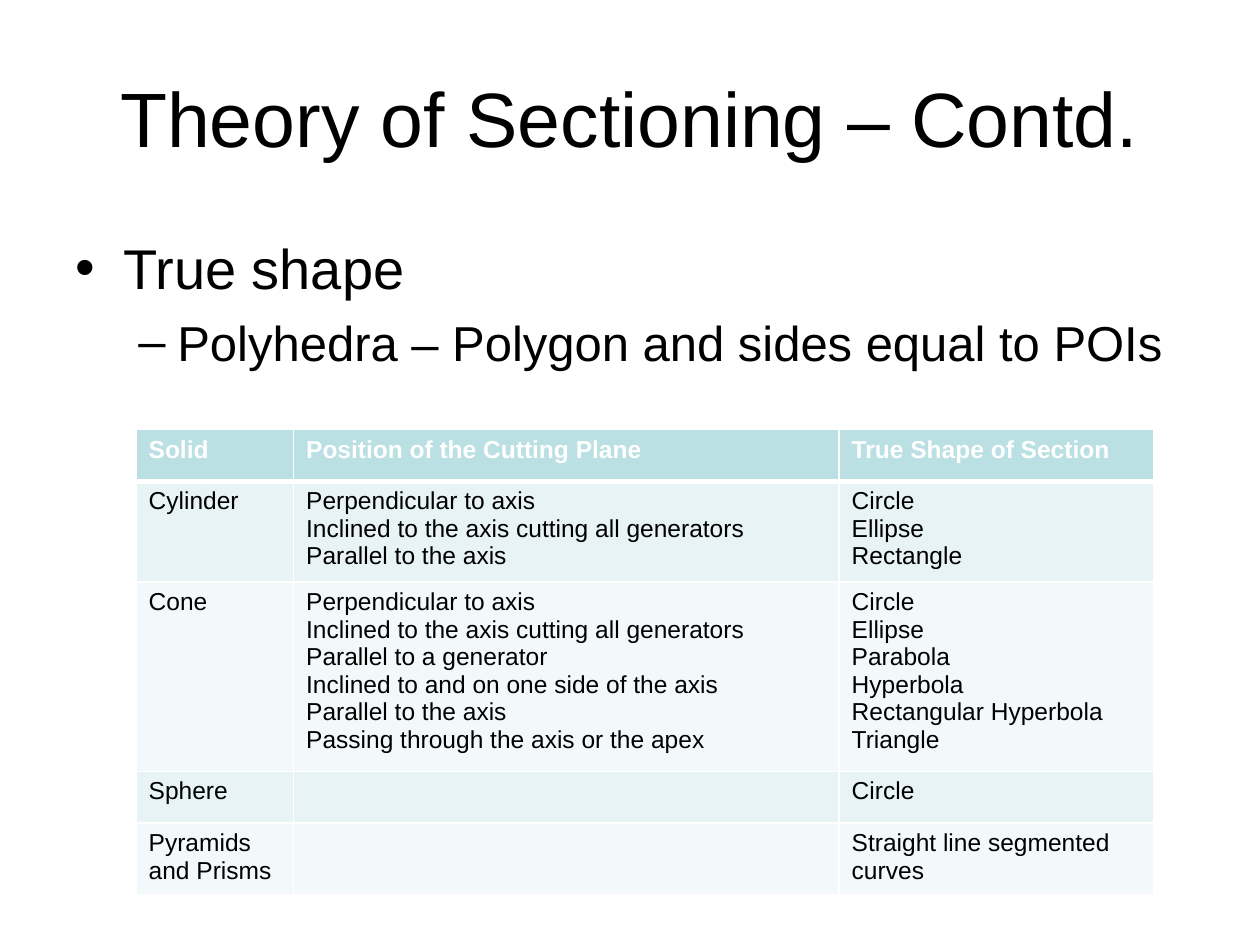
from lxml import etree
from pptx import Presentation
from pptx.dml.color import RGBColor
from pptx.enum.text import MSO_ANCHOR, PP_ALIGN
from pptx.oxml.ns import qn
from pptx.util import Inches, Pt

BLACK = RGBColor(0x00, 0x00, 0x00)
WHITE = RGBColor(0xFF, 0xFF, 0xFF)
HEADER_TEAL = RGBColor(0xBB, 0xE0, 0xE3)
BANDS = (RGBColor(0xE7, 0xF3, 0xF4), RGBColor(0xF3, 0xF9, 0xFA))
LEFT, CENTER = PP_ALIGN.LEFT, PP_ALIGN.CENTER
MIDDLE = MSO_ANCHOR.MIDDLE
FONT = "Arial"

BULLETS = [
    ("True shape", "•", 32, 0.38, 0.38, 0),
    ("Polyhedra – Polygon and sides equal to POIs", "–", 28, 0.81, 0.31, 7),
]
COLUMN_WIDTHS = (1.25, 4.33, 2.5)
ROW_HEIGHTS = (0.41, 0.8, 1.5, 0.41, 0.57)
SECTIONS = [
    (["Solid"], ["Position of the Cutting Plane"], ["True Shape of Section"]),
    (
        ["Cylinder"],
        ["Perpendicular to axis", "Inclined to the axis cutting all generators",
         "Parallel to the axis"],
        ["Circle", "Ellipse", "Rectangle"],
    ),
    (
        ["Cone"],
        ["Perpendicular to axis", "Inclined to the axis cutting all generators",
         "Parallel to a generator", "Inclined to and on one side of the axis",
         "Parallel to the axis", "Passing through the axis or the apex"],
        ["Circle", "Ellipse", "Parabola", "Hyperbola",
         "Rectangular Hyperbola", "Triangle"],
    ),
    (["Sphere"], [], ["Circle"]),
    (["Pyramids and Prisms"], [], ["Straight line segmented curves"]),
]


def write_text(paragraph, text, size, color=BLACK, bold=False, align=LEFT):
    """Add one formatted run of text to a paragraph."""
    paragraph.alignment = align
    run = paragraph.add_run()
    run.text = text
    run.font.name = FONT
    run.font.size = Pt(size)
    run.font.bold = bold
    run.font.color.rgb = color


def add_bullet(paragraph, mark, indent, hang):
    """Give a paragraph a hanging bullet mark."""
    properties = paragraph._p.get_or_add_pPr()
    properties.set("marL", str(Inches(indent)))
    properties.set("indent", str(-Inches(hang)))
    etree.SubElement(properties, qn("a:buFont"), typeface=FONT)
    etree.SubElement(properties, qn("a:buChar"), char=mark)


def add_border(cell, side, width):
    """Draw a white border on one side of a cell."""
    properties = cell._tc.get_or_add_tcPr()
    line = etree.SubElement(properties, qn(f"a:ln{side}"), w=str(Pt(width)))
    fill = etree.SubElement(line, qn("a:solidFill"))
    etree.SubElement(fill, qn("a:srgbClr"), val=str(WHITE))


def place_title(slide, left, top, width, height):
    """Move and format the title placeholder."""
    title = slide.shapes.title
    title.left, title.top, title.width, title.height = left, top, width, height
    frame = title.text_frame
    frame.vertical_anchor = MIDDLE
    write_text(frame.paragraphs[0], "Theory of Sectioning – Contd.", 44, align=CENTER)


def place_bullets(slide, left, top, width, height):
    """Place the two-level bullet list."""
    frame = slide.shapes.add_textbox(left, top, width, height).text_frame
    frame.word_wrap = True
    for index, (text, mark, size, indent, hang, space) in enumerate(BULLETS):
        paragraph = frame.add_paragraph() if index else frame.paragraphs[0]
        paragraph.level = index
        add_bullet(paragraph, mark, indent, hang)
        paragraph.space_before = Pt(space)
        write_text(paragraph, text, size)


def fill_cell(cell, lines, row):
    """Write and colour one cell according to its row."""
    header = row == 0
    for side, width in zip("LRTB", (1, 1, 3 if row == 1 else 1, 3 if header else 1)):
        add_border(cell, side, width)
    cell.fill.solid()
    cell.fill.fore_color.rgb = HEADER_TEAL if header else BANDS[(row - 1) % 2]
    frame = cell.text_frame
    for index, line in enumerate(lines):
        paragraph = frame.add_paragraph() if index else frame.paragraphs[0]
        write_text(paragraph, line, 14, color=WHITE if header else BLACK, bold=header)


def place_section_table(slide, left, top, width, height):
    """Place the table of solids, cutting planes and true shapes."""
    table = slide.shapes.add_table(
        len(ROW_HEIGHTS), len(COLUMN_WIDTHS), left, top, width, height
    ).table
    table.horz_banding = False
    for column, column_width in zip(table.columns, COLUMN_WIDTHS):
        column.width = Inches(column_width)
    for row, row_height in zip(table.rows, ROW_HEIGHTS):
        row.height = Inches(row_height)
    for row, entries in enumerate(SECTIONS):
        for column, lines in enumerate(entries):
            fill_cell(table.cell(row, column), lines, row)


def main():
    """Build and save the slide."""
    deck = Presentation()
    deck.slide_width, deck.slide_height = Inches(10), Inches(7.5)
    slide = deck.slides.add_slide(deck.slide_layouts[5])
    place_title(slide, Inches(0.5), Inches(0.3), Inches(9), Inches(1.25))
    place_bullets(slide, Inches(0.5), Inches(1.8), Inches(9), Inches(1.25))
    place_section_table(slide, Inches(1.08), Inches(3.41), Inches(8.08), Inches(3.69))
    deck.save("out.pptx")


if __name__ == "__main__":
    main()
